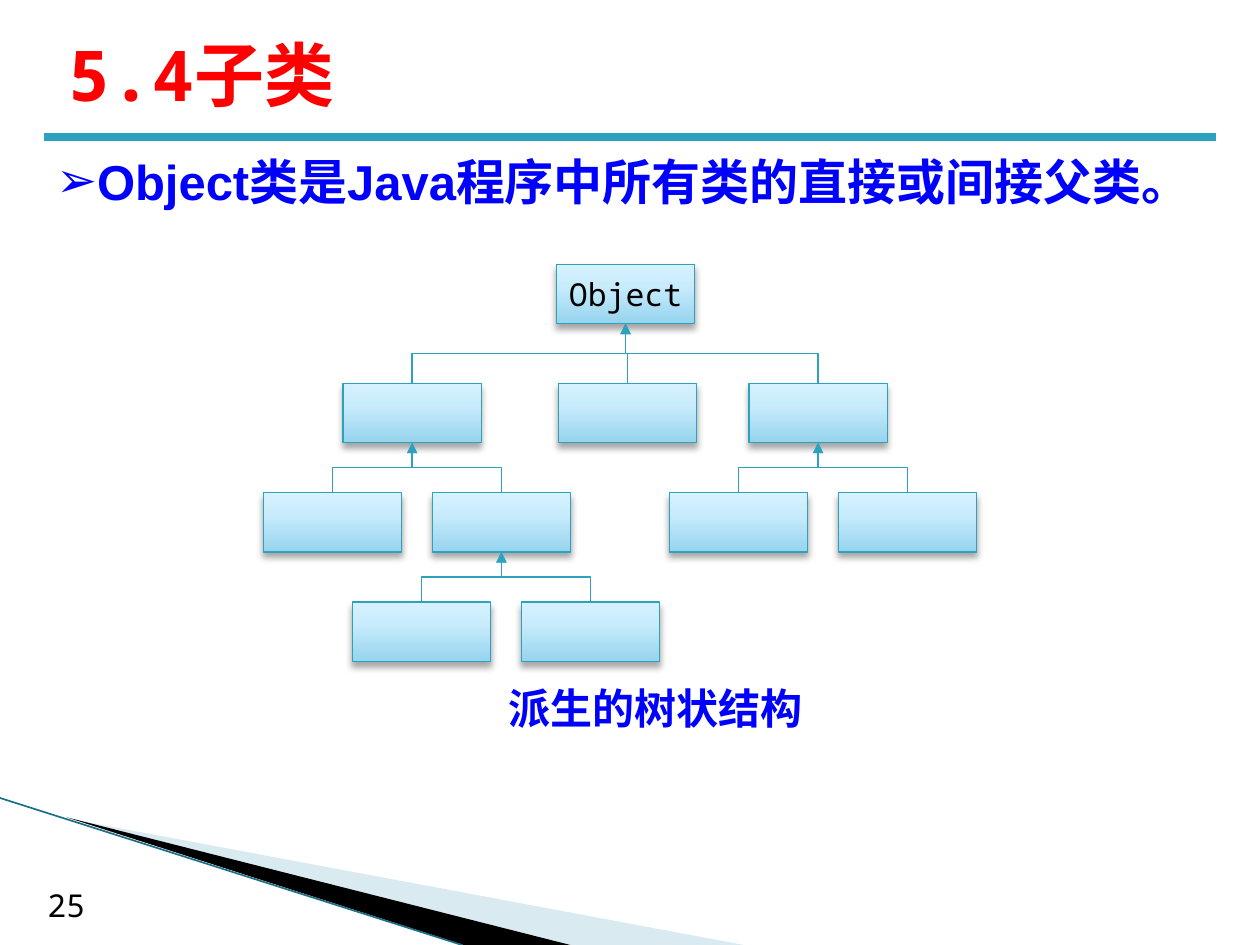
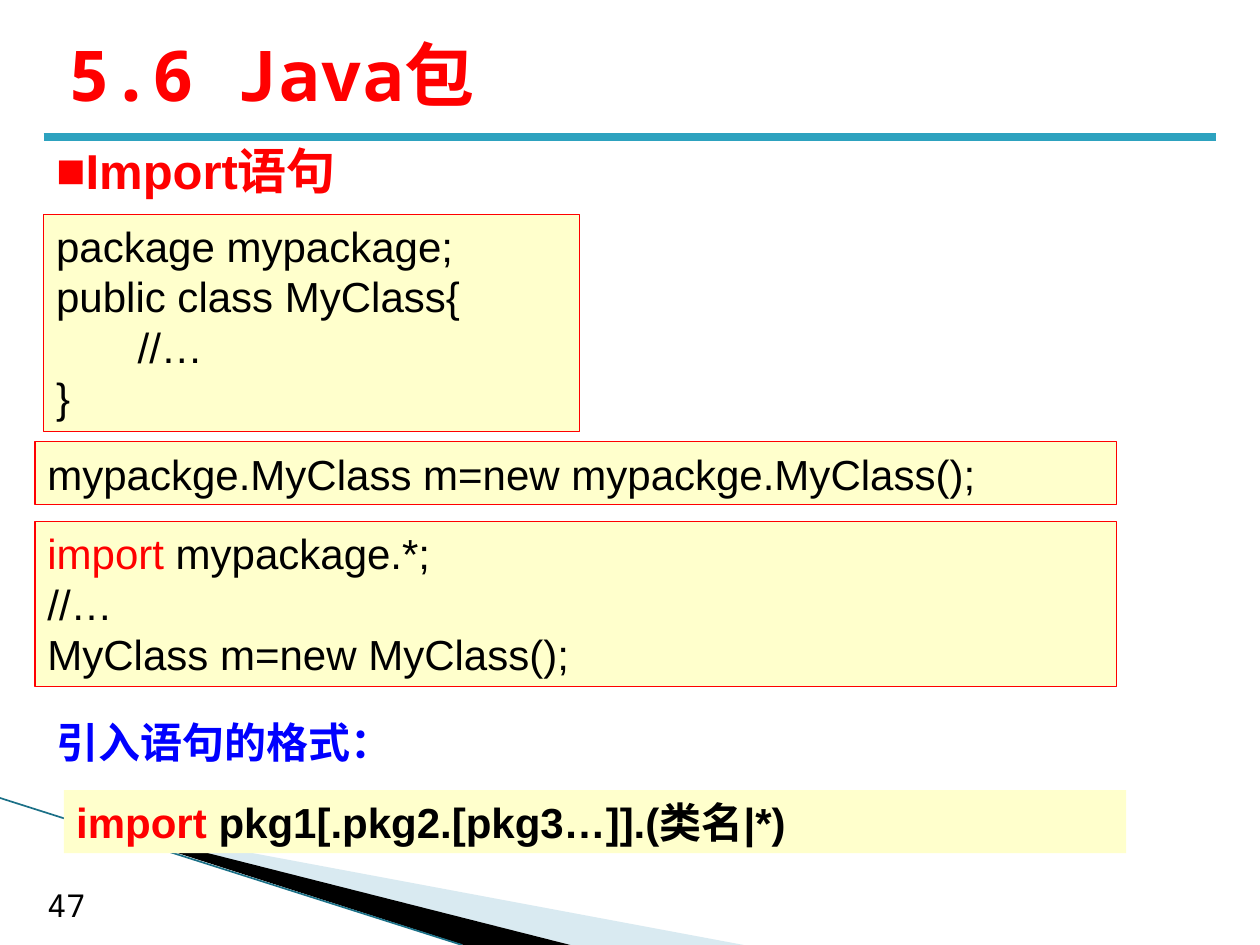
from dataclasses import dataclass

from lxml import etree
from pptx import Presentation
from pptx import util as u
from pptx.dml import color
from pptx.enum import shapes, text
from pptx.oxml import ns

COLORS = {
    "title": "FF0000",
    "accent": "FF0000",
    "statement": "0000FF",
    "body": "000000",
    "teal": "2DA2BF",
    "dark_teal": "1B7087",
    "wedge": "A0CBDC",
    "code_fill": "FFFFCC",
    "node_low": "96D4EE",
    "node_middle": "C9ECFC",
    "node_high": "D7F2FF",
}
SANS = "Arial"
MONO = "Noto Sans Mono"
CHINESE = "Noto Sans CJK SC"
NODE_WIDTH, NODE_HEIGHT = 79, 34


@dataclass
class Box:
    left: float
    top: float
    width: float
    height: float

    def within(self, left, top, width, height):
        return Box(self.left + left, self.top + top, width, height)

    def lengths(self):
        return [u.Pt(value) for value in (self.left, self.top, self.width, self.height)]


def rgb(name):
    return color.RGBColor.from_string(COLORS[name])


def add_element(parent, tag, **attributes):
    return etree.SubElement(parent, ns.qn(tag), {key: str(value) for key, value in attributes.items()})


def write_text(shape, lines, size=24, font=SANS, tint="body", bold=False, align=None,
               anchor=text.MSO_ANCHOR.TOP, bullet=None, margins=None):
    frame = shape.text_frame
    frame.word_wrap = True
    frame.vertical_anchor = anchor
    if margins is not None:
        frame.margin_left = frame.margin_right = u.Pt(margins)
    for index, line in enumerate(lines):
        paragraph = frame.add_paragraph() if index else frame.paragraphs[0]
        paragraph.alignment = align or text.PP_ALIGN.LEFT
        if bullet:
            properties = paragraph._p.get_or_add_pPr()
            properties.set("marL", "0")
            properties.set("indent", "0")
            add_element(properties, "a:buFont", typeface=SANS)
            add_element(properties, "a:buChar", char=bullet)
        pieces = [(line, tint)] if isinstance(line, str) else line
        for words, piece_tint in pieces:
            run = paragraph.add_run()
            run.text = words
            run.font.size = u.Pt(size)
            run.font.bold = bold
            run.font.name = font
            run.font.color.rgb = rgb(piece_tint)
            add_element(run._r.get_or_add_rPr(), "a:ea", typeface=CHINESE)


def add_label(slide, box, *lines, **style):
    write_text(slide.shapes.add_textbox(*box.lengths()), lines, **style)


def style_connector(connector, tint, width):
    connector.line.color.rgb = rgb(tint)
    connector.line.width = u.Pt(width)
    add_element(connector._element.spPr, "a:effectLst")


def add_line(slide, box, start, end, tint, width):
    points = [u.Pt(value) for x, y in (start, end) for value in (box.left + x, box.top + y)]
    connector = slide.shapes.add_connector(shapes.MSO_CONNECTOR.STRAIGHT, *points)
    style_connector(connector, tint, width)


def add_wedge(slide, box, points, tint, opacity=100):
    corners = [(u.Pt(box.left + x), u.Pt(box.top + y)) for x, y in points]
    builder = slide.shapes.build_freeform(*corners[0])
    builder.add_line_segments(corners[1:], close=True)
    wedge = builder.convert_to_shape()
    wedge.shadow.inherit = False
    wedge.line.fill.background()
    wedge.fill.solid()
    wedge.fill.fore_color.rgb = rgb(tint)
    if opacity < 100:
        value = wedge._element.spPr.find(".//" + ns.qn("a:srgbClr"))
        add_element(value, "a:alpha", val=opacity * 1000)


def draw_frame(slide, box, title, number):
    add_wedge(slide, box, [(40, 468), (425, 540), (326, 540)], "wedge", opacity=40)
    add_wedge(slide, box, [(38, 467), (326, 540), (265, 540)], "body")
    add_line(slide, box, (0, 456), (264, 540), "dark_teal", 0.95)
    add_line(slide, box, (25, 78.5), (695, 78.5), "teal", 4.5)
    add_label(slide, box.within(20, 502.5, 40, 29), number, size=18, font=MONO)
    add_label(slide, box.within(32, 11.5, 648, 61), title, size=40, font=MONO,
              tint="title", bold=True, anchor=text.MSO_ANCHOR.MIDDLE)


def add_node(slide, box, left, top, name=None):
    node = slide.shapes.add_shape(shapes.MSO_SHAPE.RECTANGLE,
                                  *box.within(left, top, NODE_WIDTH, NODE_HEIGHT).lengths())
    node.shadow.inherit = False
    node.line.color.rgb = rgb("teal")
    node.line.width = u.Pt(0.75)
    node.fill.gradient()
    gradient = node._element.spPr.find(ns.qn("a:gradFill"))
    for child in list(gradient):
        gradient.remove(child)
    stops = add_element(gradient, "a:gsLst")
    for position, tint in ((0, "node_low"), (65, "node_middle"), (100, "node_high")):
        stop = add_element(stops, "a:gs", pos=position * 1000)
        add_element(stop, "a:srgbClr", val=COLORS[tint])
    add_element(gradient, "a:lin", ang=270 * 60000, scaled=0)
    effects = node._element.spPr.find(ns.qn("a:effectLst"))
    shadow = add_element(effects, "a:outerShdw", blurRad=u.Pt(4), dist=u.Pt(3),
                         dir=90 * 60000, rotWithShape=0)
    add_element(add_element(shadow, "a:srgbClr", val=COLORS["body"]), "a:alpha", val=35000)
    if name:
        write_text(node, [name], size=18, font=MONO, align=text.PP_ALIGN.CENTER,
                   anchor=text.MSO_ANCHOR.MIDDLE, margins=0)
    return node


def join_child(slide, child, parent):
    connector = slide.shapes.add_connector(shapes.MSO_CONNECTOR.ELBOW, 0, 0, 0, 0)
    connector.begin_connect(child, 0)
    connector.end_connect(parent, 2)
    start_x, end_x = child.left + child.width // 2, parent.left + parent.width // 2
    start_y, end_y = child.top, parent.top + parent.height
    rise, run = start_y - end_y, abs(end_x - start_x)
    connector.left = (start_x + end_x - rise) // 2
    connector.top = (start_y + end_y - run) // 2
    connector.width, connector.height = rise, run
    transform = connector._element.spPr.find(ns.qn("a:xfrm"))
    transform.set("rot", str(270 * 60000))
    transform.set("flipH", "0")
    transform.set("flipV", "1" if start_x > end_x else "0")
    style_connector(connector, "teal", 0.75)
    add_element(connector.line._get_or_add_ln(), "a:tailEnd", type="triangle")


def draw_class_tree(slide, box):
    second_row, row_step = 68, 62.5
    pair_offsets = (-45.5, 51)
    links = []

    def add_pair(parent, parent_left, row):
        lefts = [parent_left + offset for offset in pair_offsets]
        nodes = [add_node(slide, box, left, second_row + row * row_step) for left in lefts]
        links.extend((node, parent) for node in nodes)
        return nodes, lefts

    root = add_node(slide, box, 167.5, 0, "Object")
    branch_lefts = (45.5, 168.5, 277.5)
    branches = [add_node(slide, box, left, second_row) for left in branch_lefts]
    links.extend((branch, root) for branch in branches)
    nodes, lefts = add_pair(branches[0], branch_lefts[0], 1)
    add_pair(branches[2], branch_lefts[2], 1)
    add_pair(nodes[1], lefts[1], 2)
    for child, parent in links:
        join_child(slide, child, parent)
    add_label(slide, box.within(130.5, 235.5, 187, 36), "派生的树状结构", font=CHINESE,
              tint="statement", bold=True, align=text.PP_ALIGN.CENTER)


def draw_subclass_slide(slide, box):
    draw_frame(slide, box, "5.4子类", "25")
    add_label(slide, box.within(25, 83, 669, 41), "Object类是Java程序中所有类的直接或间接父类。",
              size=28, tint="statement", bold=True, bullet="➢")
    draw_class_tree(slide, box.within(150.5, 151, 407.5, 271.5))


def add_code(slide, box, *lines, outlined=True, **style):
    panel = slide.shapes.add_shape(shapes.MSO_SHAPE.RECTANGLE, *box.lengths())
    panel.shadow.inherit = False
    panel.fill.solid()
    panel.fill.fore_color.rgb = rgb("code_fill")
    if outlined:
        panel.line.color.rgb = rgb("accent")
        panel.line.width = u.Pt(0.75)
    else:
        panel.line.fill.background()
    write_text(panel, lines, **style)


def draw_import_slide(slide, box):
    draw_frame(slide, box, "5.6 Java包", "47")
    add_label(slide, box.within(25, 77, 663, 41), "Import语句", size=28,
              tint="accent", bold=True, bullet="■")
    add_code(slide, box.within(25, 122.5, 306, 124),
             "package mypackage;", "public class MyClass{", "       //…", "}")
    add_code(slide, box.within(20, 252.5, 618, 36), "mypackge.MyClass m=new mypackge.MyClass();")
    add_code(slide, box.within(20, 298, 618, 94.5),
             [("import", "accent"), (" mypackage.*;", "body")], "//…", "MyClass m=new MyClass();")
    add_label(slide, box.within(25, 406, 210, 36), "引入语句的格式：", font=MONO,
              tint="statement", bold=True)
    add_code(slide, box.within(36.5, 451.5, 607, 36),
             [("import", "accent"), (" pkg1[.pkg2.[pkg3…]].(类名|*)", "body")],
             outlined=False, bold=True)


def main():
    presentation = Presentation()
    presentation.slide_width, presentation.slide_height = u.Pt(720), u.Pt(540)
    page = Box(0, 0, 720, 540)
    for draw_slide in (draw_subclass_slide, draw_import_slide):
        draw_slide(presentation.slides.add_slide(presentation.slide_layouts[6]), page)
    presentation.save("out.pptx")


if __name__ == "__main__":
    main()
